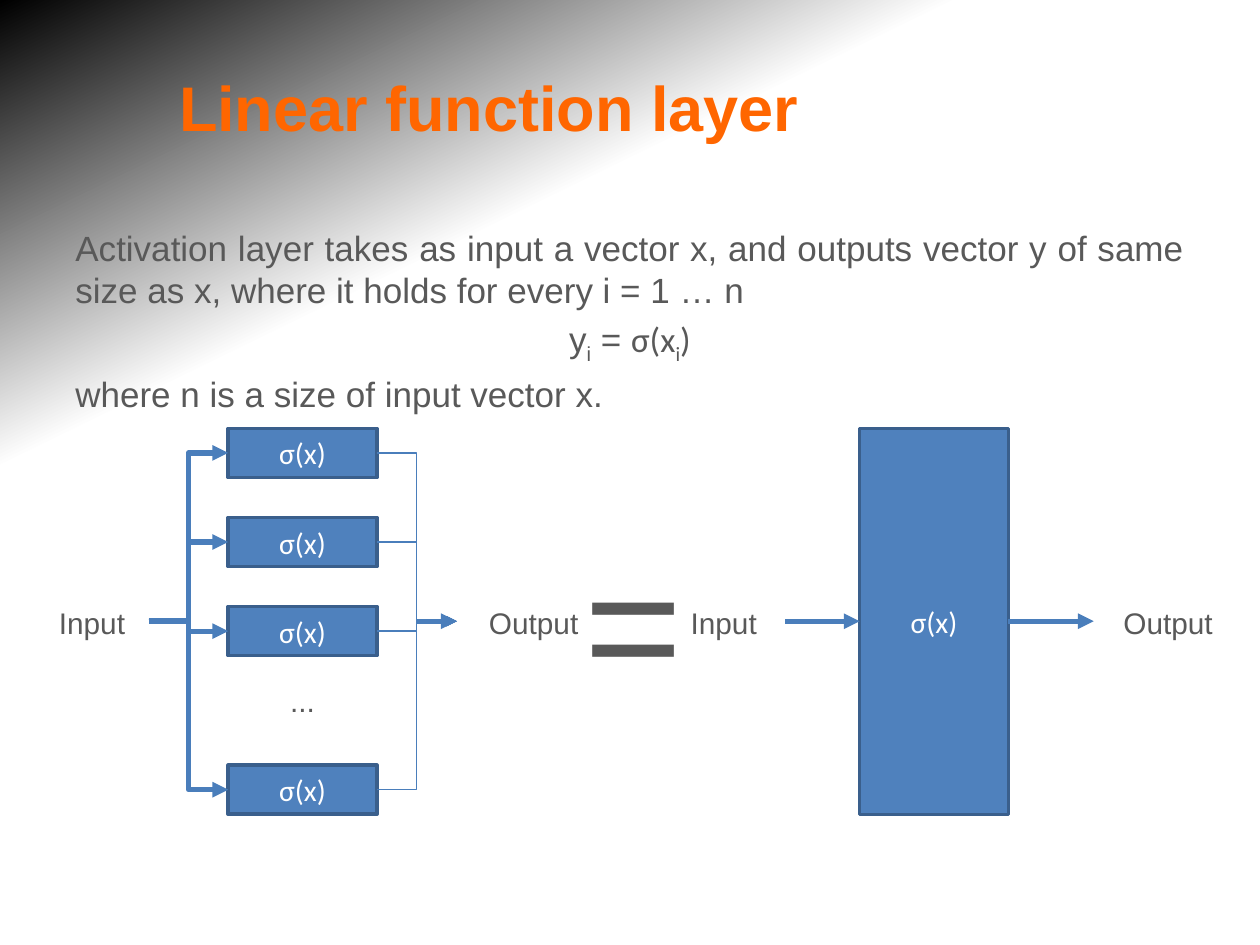
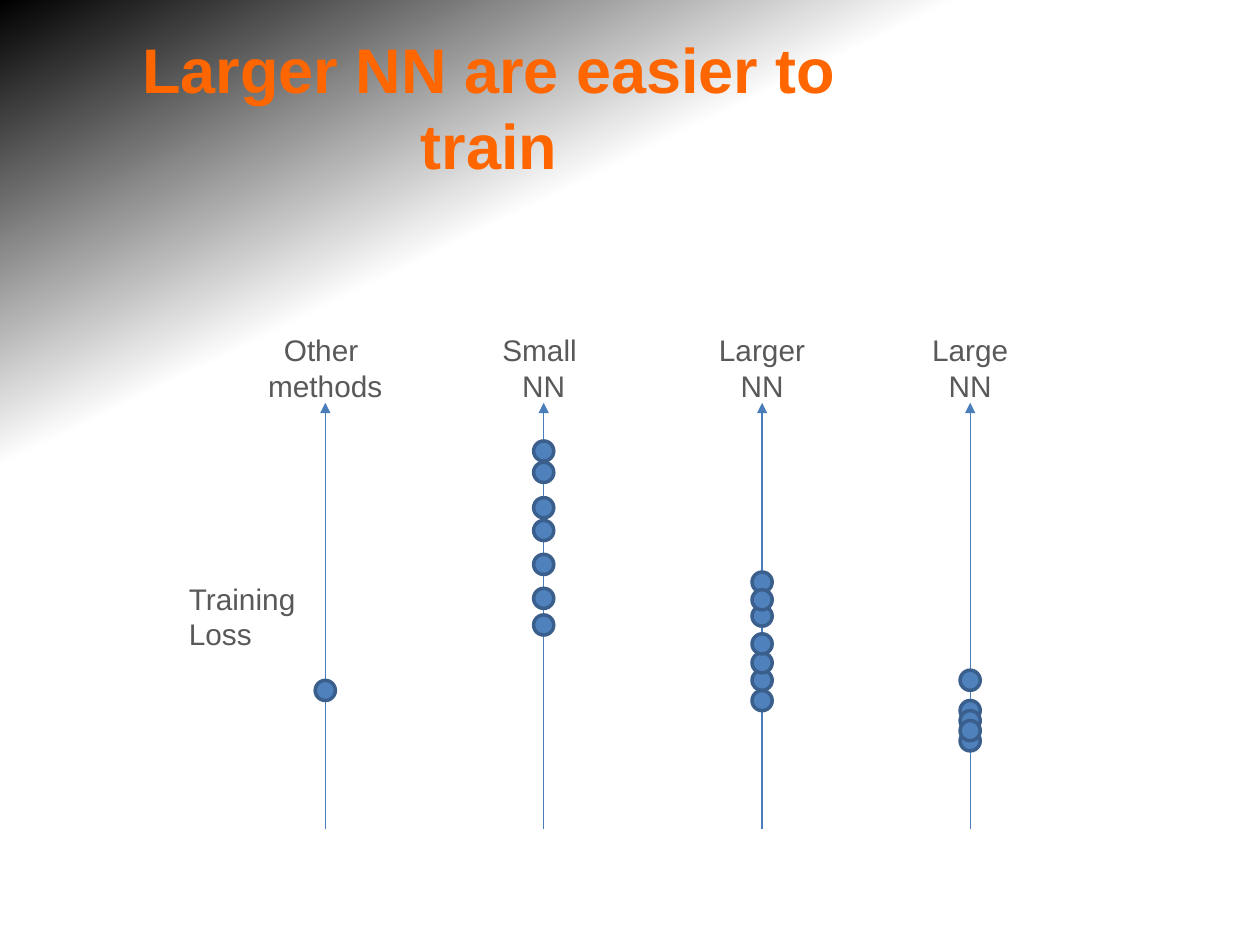
from lxml import etree
from pptx import Presentation
from pptx.dml.color import RGBColor
from pptx.enum.shapes import MSO_CONNECTOR, MSO_SHAPE
from pptx.enum.text import MSO_ANCHOR, PP_ALIGN
from pptx.oxml.ns import qn
from pptx.util import Pt

RECTANGLE, ELLIPSE = MSO_SHAPE.RECTANGLE, MSO_SHAPE.OVAL
STRAIGHT, ELBOW = MSO_CONNECTOR.STRAIGHT, MSO_CONNECTOR.ELBOW
LEFT, CENTER, JUSTIFY = PP_ALIGN.LEFT, PP_ALIGN.CENTER, PP_ALIGN.JUSTIFY
TOP, MIDDLE = MSO_ANCHOR.TOP, MSO_ANCHOR.MIDDLE

WHITE = RGBColor(0xFF, 0xFF, 0xFF)
BLACK = RGBColor(0x00, 0x00, 0x00)
ORANGE = RGBColor(0xFF, 0x66, 0x00)
GRAY = RGBColor(0x59, 0x59, 0x59)
BLUE = RGBColor(0x4F, 0x81, 0xBD)
DARK_BLUE = RGBColor(0x3A, 0x5F, 0x8C)
ARROW_BLUE = RGBColor(0x4A, 0x7E, 0xBB)

HEADING_FONT, SYMBOL_FONT = "Arial", "Calibri"
LABEL_SIZE = 17
SIGMA = "σ(x)"
THIN, THICK = 0.75, 3

NODE_LEFT, NODE_WIDTH, NODE_HEIGHT = 130.4, 85, 28.1
NODE_TOP, NODE_PITCH, LAST_NODE_TOP = 244.8, 50.9, 437.2
FLOW_Y = 355
INPUT_END, OUTPUT_START = 85, 261
LAYER_LEFT, LAYER_HEIGHT = 491.2, 220.6

AXIS_TOP, AXIS_BOTTOM = 230.2, 474
DOT_SIZE = 11.5
METHOD_WIDTH = 91.4
METHODS = [
    (["Other ", "methods"], 185.9, [388.8]),
    (["Small ", "NN"], 310.7, [264.2, 316.8, 252, 284.4, 351.4, 336.2, 297.4]),
    (["Larger", "NN"], 435.5, [394.6, 346.3, 383, 326.9, 373, 362.2, 337]),
    (["Large", "NN"], 554.4, [417.6, 400.3, 406.1, 411.8, 383]),
]


def add_run(paragraph, text, size, color, font=HEADING_FONT, bold=False, subscript=False):
    run = paragraph.add_run()
    run.text = text
    run.font.size = Pt(size)
    run.font.name = font
    run.font.bold = bold
    run.font.color.rgb = color
    if subscript:
        run.font._element.set("baseline", "-25000")


def add_text_area(slide, left, top, width, height, anchor=TOP):
    frame = slide.shapes.add_textbox(Pt(left), Pt(top), Pt(width), Pt(height)).text_frame
    frame.word_wrap = True
    frame.vertical_anchor = anchor
    return frame


def add_paragraph(frame, position, align):
    paragraph = frame.add_paragraph() if position else frame.paragraphs[0]
    paragraph.alignment = align
    return paragraph


def add_label(slide, lines, left, top, width, height, size=LABEL_SIZE, align=CENTER, anchor=TOP):
    frame = add_text_area(slide, left, top, width, height, anchor)
    for position, line in enumerate(lines):
        add_run(add_paragraph(frame, position, align), line, size, GRAY)


def add_blue_shape(slide, preset, left, top, width, height):
    shape = slide.shapes.add_shape(preset, Pt(left), Pt(top), Pt(width), Pt(height))
    shape.shadow.inherit = False
    shape.fill.solid()
    shape.fill.fore_color.rgb = BLUE
    shape.line.color.rgb = DARK_BLUE
    shape.line.width = Pt(2)
    return shape


def add_sigma_block(slide, left, top, height):
    block = add_blue_shape(slide, RECTANGLE, left, top, NODE_WIDTH, height)
    block.text_frame.vertical_anchor = MIDDLE
    paragraph = add_paragraph(block.text_frame, 0, CENTER)
    add_run(paragraph, SIGMA, LABEL_SIZE, WHITE, SYMBOL_FONT)


def add_arrow(slide, start, end, weight, route=STRAIGHT):
    arrow = slide.shapes.add_connector(route, *map(Pt, start + end))
    arrow.line.color.rgb = ARROW_BLUE
    arrow.line.width = Pt(weight)
    etree.SubElement(arrow.line._get_or_add_ln(), qn("a:tailEnd"), type="triangle")
    etree.SubElement(arrow._element.spPr, qn("a:effectLst"))


def add_titled_slide(presentation, title):
    slide = presentation.slides.add_slide(presentation.slide_layouts[6])
    backdrop = slide.background.fill
    backdrop.gradient()
    backdrop.gradient_angle = 116
    for stop, position, color in zip(backdrop.gradient_stops, (0.7, 1), (WHITE, BLACK)):
        stop.position = position
        stop.color.rgb = color
    frame = add_text_area(slide, 36, 23.8, 485.3, 74.2, MIDDLE)
    frame.margin_left = Pt(8.6)
    add_run(add_paragraph(frame, 0, CENTER), title, 36, ORANGE, bold=True)
    return slide


def add_definition(slide):
    paragraphs = [
        (JUSTIFY, [("Activation layer takes as input a vector x, and outputs vector y "
                    "of same size as x, where it holds for every i = 1 … n",
                    HEADING_FONT, False)]),
        (CENTER, [("y", HEADING_FONT, False), ("i", HEADING_FONT, True),
                  (" = ", HEADING_FONT, False), ("σ(x", SYMBOL_FONT, False),
                  ("i", SYMBOL_FONT, True), (")", SYMBOL_FONT, False)]),
        (JUSTIFY, [("where n is a size of input vector x.", HEADING_FONT, False)]),
    ]
    frame = add_text_area(slide, 36, 126, 648, 113.8)
    for position, (align, pieces) in enumerate(paragraphs):
        paragraph = add_paragraph(frame, position, align)
        paragraph.space_before = Pt(4)
        for text, font, subscript in pieces:
            add_run(paragraph, text, 20, GRAY, font, subscript=subscript)


def build_layer_slide(presentation):
    slide = add_titled_slide(presentation, "Linear function layer")
    add_definition(slide)

    node_right = NODE_LEFT + NODE_WIDTH
    node_tops = [NODE_TOP + NODE_PITCH * i for i in range(3)] + [LAST_NODE_TOP]
    for node_top in node_tops:
        node_y = node_top + NODE_HEIGHT / 2
        add_sigma_block(slide, NODE_LEFT, node_top, NODE_HEIGHT)
        add_arrow(slide, (INPUT_END, FLOW_Y), (NODE_LEFT, node_y), THICK, ELBOW)
        add_arrow(slide, (node_right, node_y), (OUTPUT_START, FLOW_Y), THIN, ELBOW)
    add_label(slide, ["..."], NODE_LEFT, 386.6, NODE_WIDTH, 29.5)

    layer_right = LAYER_LEFT + NODE_WIDTH
    add_sigma_block(slide, LAYER_LEFT, NODE_TOP, LAYER_HEIGHT)
    for start_x, end_x in [((node_right + OUTPUT_START) / 2, OUTPUT_START),
                           (448.6, LAYER_LEFT), (layer_right, 625)]:
        add_arrow(slide, (start_x, FLOW_Y), (end_x, FLOW_Y), THICK)

    for name, left, width in [("Input", 20.9, 63.4), ("Output", 261.4, 87.1),
                              ("Input", 378.7, 69.8), ("Output", 625, 85)]:
        add_label(slide, [name], left, 342, width, 26)
    add_label(slide, ["="], 326.9, 292.3, 70.6, 124.6, size=96)


def build_training_slide(presentation):
    slide = add_titled_slide(presentation, "Larger NN are easier to train")
    add_label(slide, ["Training", "Loss"], 100.8, 326.2, 79.2, 51.8, align=LEFT, anchor=MIDDLE)
    for method, axis_x, loss_tops in METHODS:
        add_arrow(slide, (axis_x, AXIS_BOTTOM), (axis_x, AXIS_TOP), THIN)
        add_label(slide, method, axis_x - METHOD_WIDTH / 2, 184.3, METHOD_WIDTH, 51.8,
                  anchor=MIDDLE)
        for loss_top in loss_tops:
            add_blue_shape(slide, ELLIPSE, axis_x - DOT_SIZE / 2, loss_top, DOT_SIZE, DOT_SIZE)


def main():
    presentation = Presentation()
    presentation.slide_width, presentation.slide_height = Pt(720), Pt(540)
    build_layer_slide(presentation)
    build_training_slide(presentation)
    presentation.save("out.pptx")


if __name__ == "__main__":
    main()
